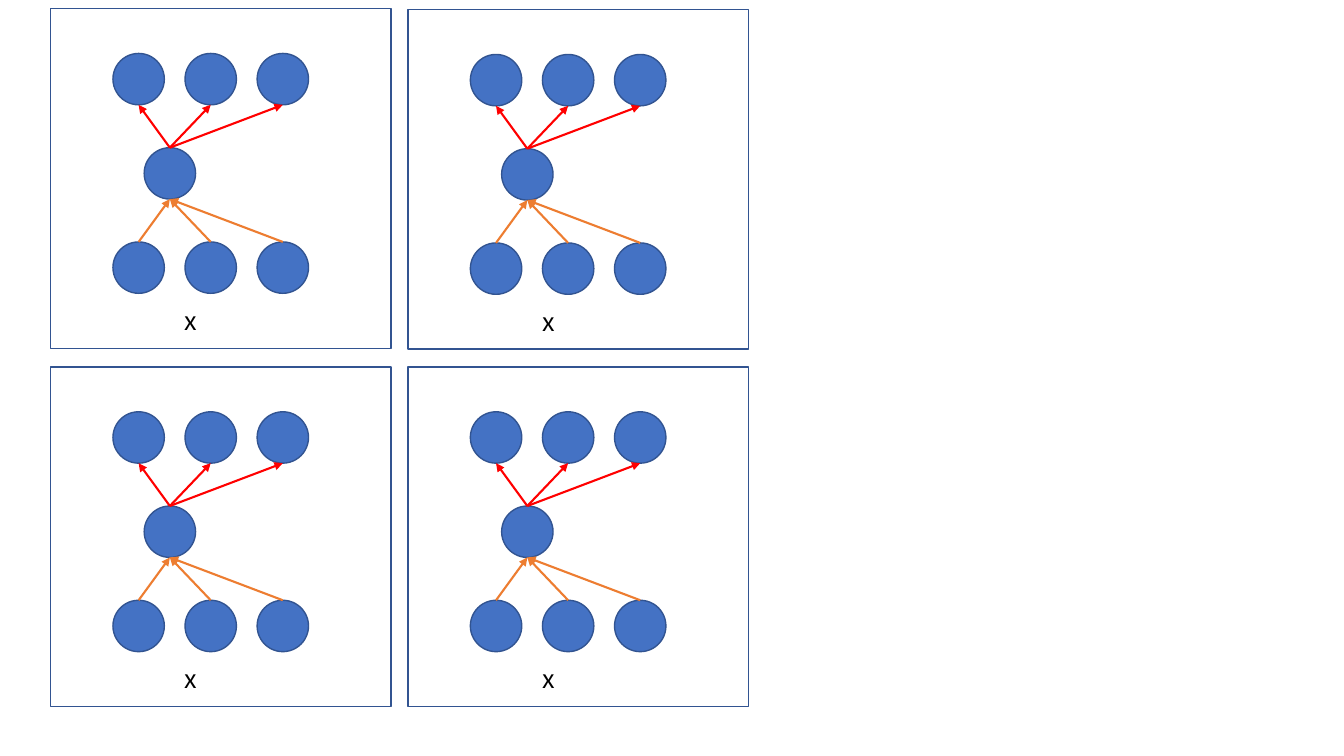
import pptx
import pptx.util
import pptx.dml.color
import pptx.enum.shapes
import pptx.enum.text
import pptx.oxml
import pptx.oxml.ns
from pptx.util import Inches, Pt

RGBColor = pptx.dml.color.RGBColor
BLUE = RGBColor(0x44, 0x72, 0xC4)
NAVY = RGBColor(0x32, 0x54, 0x91)
ORANGE = RGBColor(0xED, 0x7D, 0x31)
RED = RGBColor(0xFF, 0x00, 0x00)
BLACK = RGBColor(0x00, 0x00, 0x00)
FONT = "Noto Sans CJK SC"
LABEL = "x"

PANELS = [(0.5, 0.085), (0.5, 3.64), (4.045, 0.095), (4.045, 3.64)]
PANEL_W, PANEL_H = 3.38, 3.37
NODE = 0.51
COLUMNS = [0.62 + 0.715 * i for i in range(3)]
HUB_X = 0.93
TOP_Y, HUB_Y, BOTTOM_Y = [0.445 + 0.935 * i for i in range(3)]
LABEL_BOX = (1.235, 2.895, 0.51, 0.4)


def add_outline(group, kind, x, y, w, h, fill=None):
    """Add a navy-outlined shape, filled when a colour is given."""
    shape = group.shapes.add_shape(kind, Inches(x), Inches(y), Inches(w), Inches(h))
    shape.shadow.inherit = False
    if fill is None:
        shape.fill.background()
    else:
        shape.fill.solid()
        shape.fill.fore_color.rgb = fill
    shape.line.color.rgb = NAVY
    shape.line.width = Pt(1)


def add_arrow(group, start, end, color):
    """Add a straight arrow pointing at its end."""
    line = group.shapes.add_connector(
        pptx.enum.shapes.MSO_CONNECTOR.STRAIGHT, *map(Inches, start + end))
    line.line.color.rgb = color
    line.line.width = Pt(1.5)
    tail = pptx.oxml.parse_xml(
        f'<a:tailEnd {pptx.oxml.ns.nsdecls("a")} type="triangle"/>')
    line.line._get_or_add_ln().append(tail)
    effects = pptx.oxml.parse_xml(f'<a:effectLst {pptx.oxml.ns.nsdecls("a")}/>')
    line._element.spPr.append(effects)


def add_label(group, x, y, w, h):
    """Add the input label below the bottom row."""
    box = group.shapes.add_textbox(Inches(x), Inches(y), Inches(w), Inches(h))
    tf = box.text_frame
    tf.word_wrap = True
    tf.auto_size = pptx.enum.text.MSO_AUTO_SIZE.SHAPE_TO_FIT_TEXT
    r = tf.paragraphs[0].add_run()
    r.text = LABEL
    r.font.name = FONT
    r.font.size = Pt(18)
    r.font.color.rgb = BLACK


def add_panel(s, left, top):
    """Add one framed network with its arrows and label."""
    group = s.shapes.add_group_shape()
    shapes = pptx.enum.shapes.MSO_SHAPE
    add_outline(group, shapes.RECTANGLE, left, top, PANEL_W, PANEL_H)
    nodes = [(x, y) for y in (TOP_Y, BOTTOM_Y) for x in COLUMNS] + [(HUB_X, HUB_Y)]
    for x, y in nodes:
        add_outline(group, shapes.OVAL, left + x, top + y, NODE, NODE, BLUE)
    hub_mid = left + HUB_X + NODE / 2
    hub_top = (hub_mid, top + HUB_Y)
    hub_bottom = (hub_mid, top + HUB_Y + NODE)
    for x in COLUMNS:
        mid = left + x + NODE / 2
        add_arrow(group, (mid, top + BOTTOM_Y), hub_bottom, ORANGE)
        add_arrow(group, hub_top, (mid, top + TOP_Y + NODE), RED)
    x, y, w, h = LABEL_BOX
    add_label(group, left + x, top + y, w, h)


def main():
    """Build the slide of four networks."""
    prs = pptx.Presentation()
    prs.slide_width, prs.slide_height = Inches(13.33), Inches(7.5)
    s = prs.slides.add_slide(prs.slide_layouts[6])
    for left, top in PANELS:
        add_panel(s, left, top)
    prs.save("out.pptx")


if __name__ == "__main__":
    main()
